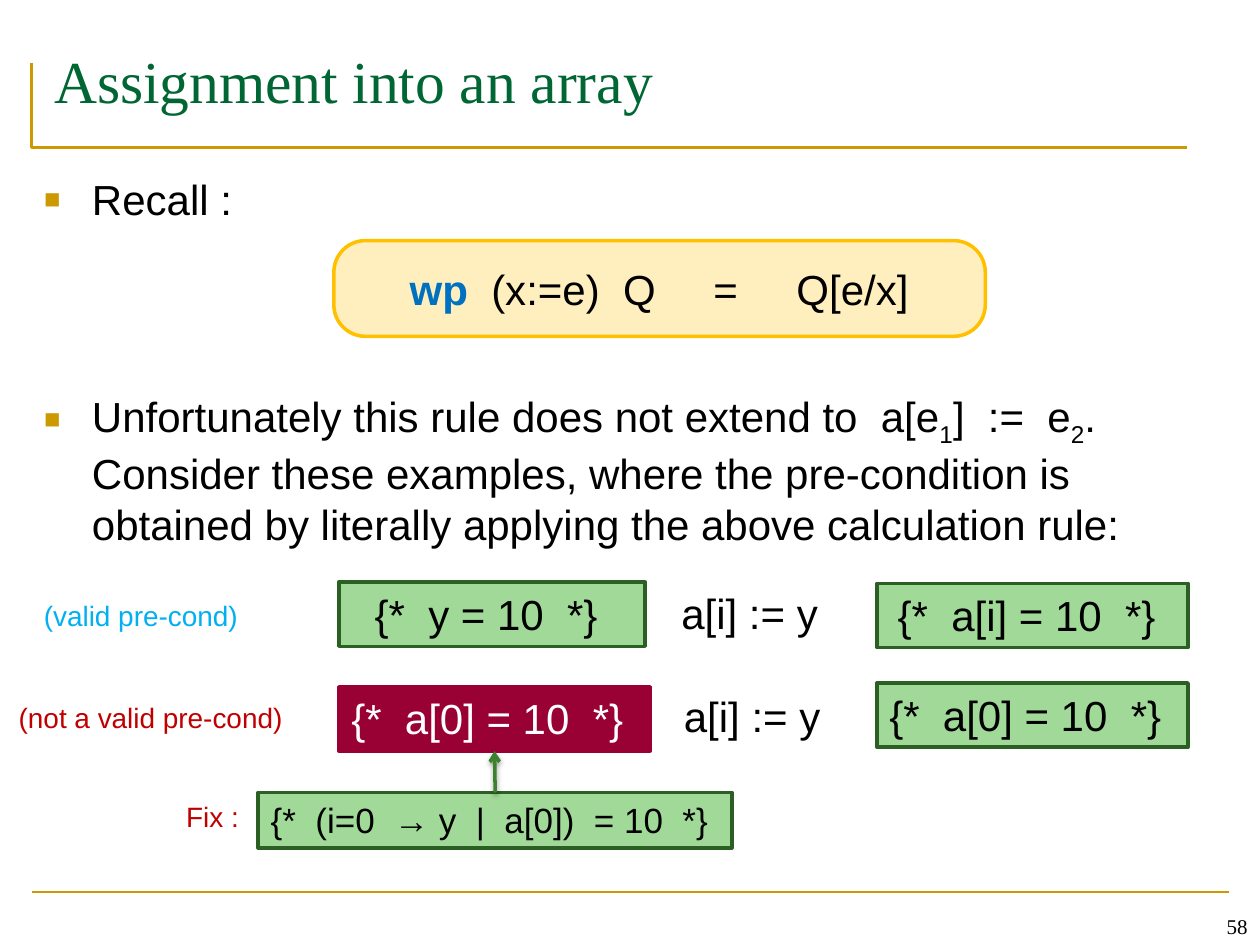
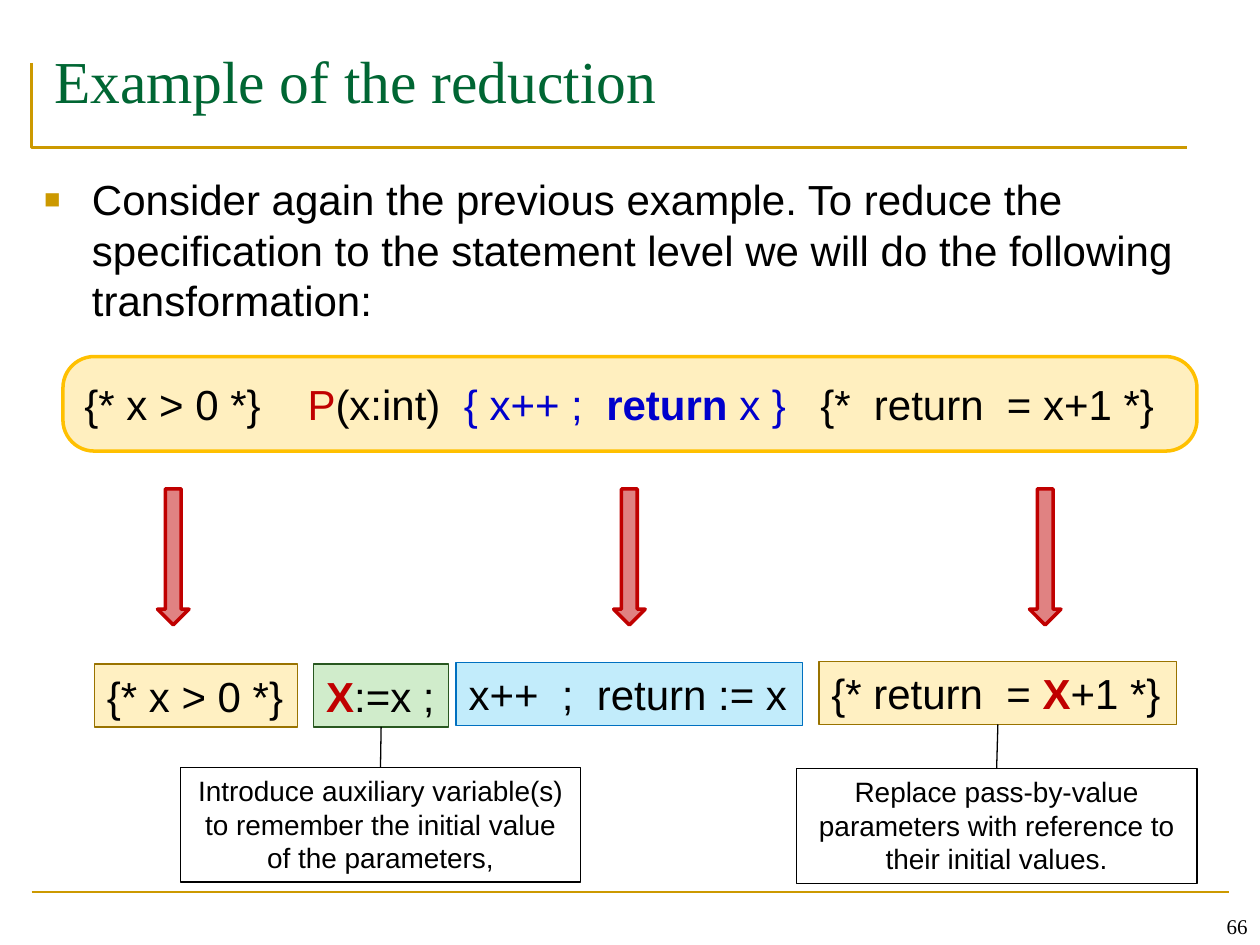
from lxml.etree import SubElement
from pptx import Presentation
from pptx.dml.color import RGBColor
from pptx.enum.shapes import MSO_CONNECTOR, MSO_SHAPE
from pptx.enum.text import MSO_ANCHOR, MSO_AUTO_SIZE, PP_ALIGN
from pptx.oxml import parse_xml
from pptx.oxml.ns import nsdecls, qn
from pptx.util import Inches, Pt

COLORS = {
    "black": "000000", "white": "FFFFFF", "gold": "CC9900", "title": "006633",
    "amber": "FFC000", "red": "C00000", "crimson": "990033", "sky": "00B0F0",
    "blue": "0070C0", "code": "0000CC", "green": "A1DA98", "forest": "2C5F23",
    "arrow": "3B812F", "cream": "FFF0C2", "bronze": "997300",
    "mint": "D0ECCB", "moss": "285720",
}
RGB = {name: RGBColor.from_string(value) for name, value in COLORS.items()}


def write(paragraph, text, size=24, color="black", font="Arial", align=PP_ALIGN.LEFT,
          before=0, bullet=False, tabs=()):
    """Fill a paragraph; text is a string or a list of (string, run format)."""
    paragraph.alignment = align
    paragraph.space_before = Pt(before)
    props = paragraph._p.get_or_add_pPr()
    if bullet:
        props.set("marL", str(Inches(0.38)))
        props.set("indent", str(-Inches(0.38)))
        props.append(parse_xml(f'<a:buClr {nsdecls("a")}><a:srgbClr val="{COLORS["gold"]}"/></a:buClr>'))
        SubElement(props, qn("a:buSzPct"), val="65000")
        SubElement(props, qn("a:buFont"), typeface="Arial")
        SubElement(props, qn("a:buChar"), char="■")
    if tabs:
        tab_list = SubElement(props, qn("a:tabLst"))
        for stop in tabs:
            SubElement(tab_list, qn("a:tab"), pos=str(Inches(stop)), algn="l")
    for part, style in [(text, {})] if isinstance(text, str) else text:
        run = paragraph.add_run()
        run.text = part
        run.font.name, run.font.size = font, Pt(size)
        run.font.bold = style.get("bold", False)
        run.font.color.rgb = RGB[style.get("color", color)]
        if style.get("sub"):
            run.font._element.set("baseline", "-25000")


def block(slide, area, text=None, preset=MSO_SHAPE.RECTANGLE, fill=None, alpha=None, line=None,
          width=2, wrap=False, grow=True, anchor=MSO_ANCHOR.TOP, **text_format):
    """Place a shape, or a plain text box when it has no line."""
    area = [Inches(value) for value in area]
    if line:
        shape = slide.shapes.add_shape(preset, *area)
        shape.shadow.inherit = False
        shape.line.color.rgb, shape.line.width = RGB[line], Pt(width)
        if fill:
            shape.fill.solid()
            shape.fill.fore_color.rgb = RGB[fill]
        else:
            shape.fill.background()
        if alpha:
            fill_color = shape._element.spPr.find(qn("a:solidFill"))[0]
            SubElement(fill_color, qn("a:alpha"), val=str(alpha * 1000))
        if preset == MSO_SHAPE.ROUNDED_RECTANGLE:
            shape.adjustments[0] = 0.33
    else:
        shape = slide.shapes.add_textbox(*area)
    if text:
        frame = shape.text_frame
        frame.word_wrap, frame.vertical_anchor = wrap, anchor
        frame.auto_size = MSO_AUTO_SIZE.SHAPE_TO_FIT_TEXT if grow else MSO_AUTO_SIZE.NONE
        write(frame.paragraphs[0], text, **text_format)
    return shape


deck = Presentation()
deck.slide_width, deck.slide_height = Inches(10), Inches(7.5)

# Shared frame: title, bulleted body, gold rules and page number
pages = [
    ("Assignment into an array", "58", 3.35, [
        ("Recall :", 0),
        ([("Unfortunately this rule does not extend to  a[e", {}), ("1", {"sub": True}),
          ("]  :=  e", {}), ("2", {"sub": True}),
          (". Consider these examples, where the pre-condition is obtained by "
           "literally applying the above calculation rule:", {})], 95),
    ]),
    ("Example of the reduction", "66", 5.67, [
        ("Consider again the previous example. To reduce the specification to the "
         "statement level we will do the following transformation:", 0),
    ]),
]
for heading, number, body_height, points in pages:
    slide = deck.slides.add_slide(deck.slide_layouts[1])
    title, body = slide.placeholders
    for holder, area in [(title, (0.33, 0.3, 9.33, 0.86)), (body, (0.25, 1.33, 9.5, body_height))]:
        holder.left, holder.top, holder.width, holder.height = map(Inches, area)
        holder.text_frame.vertical_anchor = MSO_ANCHOR.TOP
        holder.text_frame.auto_size = MSO_AUTO_SIZE.NONE
    write(title.text_frame.paragraphs[0], heading, size=34, color="title", font="Times New Roman")
    for index, (point, gap) in enumerate(points):
        paragraph = body.text_frame.add_paragraph() if index else body.text_frame.paragraphs[0]
        write(paragraph, point, before=gap, bullet=True)

    corner = slide.shapes.build_freeform(Inches(0.25), Inches(0.5))
    corner.add_line_segments([(Inches(0.25), Inches(1.17)), (Inches(9.42), Inches(1.17))], close=False)
    title_rule = corner.convert_to_shape()
    title_rule.fill.background()
    title_rule.shadow.inherit = False
    footer_rule = slide.shapes.add_connector(
        MSO_CONNECTOR.STRAIGHT, Inches(0.25), Inches(7.08), Inches(9.75), Inches(7.08))
    SubElement(footer_rule._element.spPr, qn("a:effectLst"))
    for rule in (title_rule, footer_rule):
        rule.line.color.rgb, rule.line.width = RGB["gold"], Pt(1.5)
    block(slide, (7.67, 7, 2.33, 0.5), number, wrap=True, grow=False, anchor=MSO_ANCHOR.BOTTOM,
          size=12, font="Times New Roman", align=PP_ALIGN.RIGHT)

array_slide, reduction_slide = deck.slides
banner = dict(preset=MSO_SHAPE.ROUNDED_RECTANGLE, fill="amber", alpha=25, line="amber",
              wrap=True, grow=False, anchor=MSO_ANCHOR.MIDDLE)
condition = dict(fill="green", line="forest")
centred = dict(wrap=True, align=PP_ALIGN.CENTER)

# Array slide: the wp rule
block(array_slide, (2.65, 1.91, 5.17, 0.76),
      [("\twp  ", {"color": "blue", "bold": True}), ("(x:=e)  Q\t=\tQ[e/x]", {})],
      tabs=(0.43, 2.84, 3.5), **banner)

# Array slide: valid and invalid examples, then the fix
block(array_slide, (2.69, 4.62, 2.43, 0.51), "{*  y = 10  *} ", **condition, **centred)
block(array_slide, (6.96, 4.63, 2.47, 0.51), "{*  a[i] = 10  *} ", **condition, **centred)
invalid = block(array_slide, (2.69, 5.45, 2.47, 0.51), "{*  a[0] = 10  *}",
                fill="crimson", line="crimson", color="white")
block(array_slide, (6.96, 5.42, 2.47, 0.51), "{*  a[0] = 10  *}", **condition)
fix = block(array_slide, (2.05, 6.29, 3.76, 0.44), "{*  (i=0  → y  |  a[0])  = 10  *}",
            size=20, **condition)
for left, top in [(5.31, 4.61), (5.33, 5.43)]:
    block(array_slide, (left, top, 1.3, 0.51), "a[i] := y")
for area, remark, color in [((0.25, 4.7, 1.76, 0.37), "(valid pre-cond)", "sky"),
                            ((0.05, 5.51, 2.32, 0.37), "(not a valid pre-cond)", "red"),
                            ((1.38, 6.3, 0.63, 0.37), "Fix :", "red")]:
    block(array_slide, area, remark, size=16, color=color)

# Reduction slide: the specification
block(reduction_slide, (0.5, 2.83, 9, 0.75),
      [("{* x > 0 *}\t", {}), ("P", {"color": "red"}), ("(x:int)  ", {}),
       ("{ x++ ;  ", {"color": "code"}), ("return", {"color": "code", "bold": True}),
       (" x }\t", {"color": "code"}), ("{*  return  = x+1 *}", {})],
      tabs=(1.77, 5.84), **banner)
for left in (1.25, 4.87, 8.17):
    block(reduction_slide, (left, 3.88, 0.25, 1.08), preset=MSO_SHAPE.DOWN_ARROW,
          fill="red", alpha=49, line="red")

# Reduction slide: the resulting statements
auxiliary = ("X", {"color": "red", "bold": True})
block(reduction_slide, (0.75, 5.27, 1.61, 0.5), "{* x > 0 *}", fill="cream", line="bronze", width=0.75)
post = block(reduction_slide, (6.5, 5.25, 2.84, 0.5), [("{* return  = ", {}), auxiliary, ("+1 *}", {})],
             fill="cream", line="bronze", width=0.75)
block(reduction_slide, (3.62, 5.26, 2.75, 0.5), "x++  ;  return := x",
      fill="sky", alpha=24, line="blue", width=0.75)
initial = block(reduction_slide, (2.49, 5.27, 1.07, 0.5), [auxiliary, (":=x ;", {})],
                fill="mint", line="moss", width=0.75)

# Reduction slide: explanations
introduce = block(reduction_slide, (1.43, 6.09, 3.18, 0.91),
                  "Introduce auxiliary variable(s) to remember the initial value of the parameters,",
                  line="black", width=0.75, size=16, **centred)
replace = block(reduction_slide, (6.32, 6.1, 3.18, 0.91),
                "Replace pass-by-value parameters with reference to their initial values.",
                line="black", width=0.75, size=16, **centred)

# Links from the top of the lower box to the bottom of the upper one
for slide, lower, upper, color, width in [(array_slide, fix, invalid, "arrow", 2),
                                          (reduction_slide, introduce, initial, "black", 0.75),
                                          (reduction_slide, replace, post, "black", 0.75)]:
    link = slide.shapes.add_connector(MSO_CONNECTOR.STRAIGHT, 0, 0, 0, 0)
    link.begin_connect(lower, 0)
    link.end_connect(upper, 2)
    link.line.color.rgb, link.line.width = RGB[color], Pt(width)
    effects = SubElement(link._element.spPr, qn("a:effectLst"))
    if slide is array_slide:
        SubElement(link.line._get_or_add_ln(), qn("a:tailEnd"), type="arrow")
        shadow = SubElement(effects, qn("a:outerShdw"), blurRad=str(Pt(3.1)), dist=str(Pt(1.6)),
                            dir="5400000", rotWithShape="0")
        shade = SubElement(shadow, qn("a:srgbClr"), val=COLORS["black"])
        SubElement(shade, qn("a:alpha"), val="38000")

deck.save("out.pptx")
